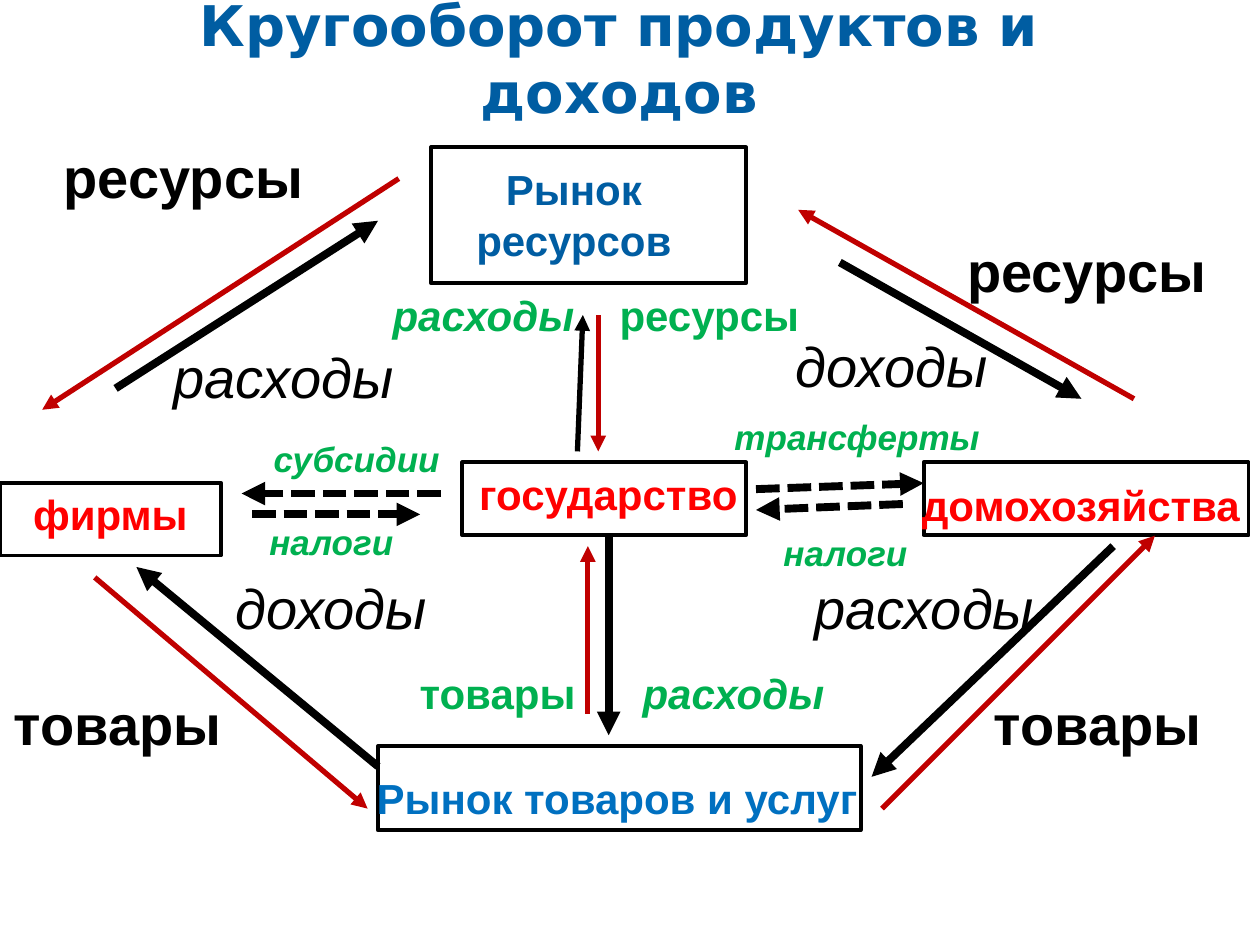
"""Build a slide with the circular flow of products and incomes."""
from lxml.etree import SubElement
from pptx import Presentation
from pptx.dml.color import RGBColor
from pptx.enum.dml import MSO_LINE_DASH_STYLE as DASH
from pptx.enum.shapes import MSO_CONNECTOR as CONNECTOR, MSO_SHAPE as SHAPE
from pptx.enum.text import MSO_ANCHOR as ANCHOR, PP_ALIGN as ALIGN
from pptx.oxml.ns import qn
from pptx.util import Cm, Pt

BLACK = RGBColor(0x00, 0x00, 0x00)
BLUE = RGBColor(0x00, 0x5D, 0xA2)
LIGHT_BLUE = RGBColor(0x00, 0x70, 0xC0)
RED = RGBColor(0xFF, 0x00, 0x00)
DARK_RED = RGBColor(0xC0, 0x00, 0x00)
GREEN = RGBColor(0x00, 0xB0, 0x50)

presentation = Presentation()
presentation.slide_width = Cm(25.4)
presentation.slide_height = Cm(19.05)
slide = presentation.slides.add_slide(presentation.slide_layouts[6])


def add_text(text, left, top, width, height, size=24, color=BLACK, bold=False,
             italic=False, font="Arial", anchor=ANCHOR.TOP):
    box = slide.shapes.add_textbox(Cm(left), Cm(top), Cm(width), Cm(height))
    frame = box.text_frame
    frame.word_wrap = True
    frame.vertical_anchor = anchor
    frame.text = text
    for paragraph in frame.paragraphs:
        paragraph.alignment = ALIGN.CENTER
        paragraph.font.name = font
        paragraph.font.size = Pt(size)
        paragraph.font.bold = bold
        paragraph.font.italic = italic
        paragraph.font.color.rgb = color


def add_arrow(start_x, start_y, end_x, end_y, color=BLACK, width=4.5, dash=None):
    arrow = slide.shapes.add_connector(
        CONNECTOR.STRAIGHT, Cm(start_x), Cm(start_y), Cm(end_x), Cm(end_y))
    arrow.line.color.rgb = color
    arrow.line.width = Pt(width)
    if dash:
        arrow.line.dash_style = dash
    SubElement(arrow.line._get_or_add_ln(), qn("a:tailEnd"), type="triangle")
    SubElement(arrow._element.spPr, qn("a:effectLst"))


add_text("Кругооборот продуктов и доходов", 0.84, 0.84, 23.29, 0.64, size=32,
         color=BLUE, bold=True, font="DejaVu Sans", anchor=ANCHOR.MIDDLE)

frames = [
    (18.62, 9.32, 6.55, 1.47),
    (7.62, 15.04, 9.73, 1.7),
    (0, 9.73, 4.45, 1.47),
    (8.69, 2.97, 6.35, 2.74),
    (9.32, 9.32, 5.72, 1.47),
]
for frame_box in frames:
    shape = slide.shapes.add_shape(SHAPE.RECTANGLE, *map(Cm, frame_box))
    shape.shadow.inherit = False
    shape.fill.background()
    shape.line.color.rgb = BLACK
    shape.line.width = Pt(2.25)

participants = [
    ("Рынок\nресурсов", 9.32, 3.18, 4.5, 2.31, BLUE),
    ("Рынок товаров и услуг", 7.24, 15.44, 10.4, 1.27, LIGHT_BLUE),
    ("домохозяйства", 18.19, 9.55, 7.2, 1.27, RED),
    ("фирмы", 0, 9.73, 4.45, 1.27, RED),
    ("государство", 9.09, 9.32, 6.35, 1.27, RED),
]
for text, left, top, width, height, color in participants:
    add_text(text, left, top, width, height, color=color, bold=True)

thick_arrows = [
    (12.27, 10.8, 12.27, 14.82),
    (16.93, 5.29, 21.8, 8.04),
    (22.44, 11.01, 17.57, 15.66),
    (7.62, 15.45, 2.75, 11.43),
    (2.33, 7.83, 7.62, 4.45),
]
for ends in thick_arrows:
    add_arrow(*ends)

red_arrows = [
    (11.85, 14.39, 11.85, 11.01),
    (12.06, 6.35, 12.06, 9.1),
    (22.86, 8.04, 16.09, 4.23),
    (17.78, 16.3, 23.28, 10.8),
    (1.91, 11.64, 7.41, 16.3),
    (8.04, 3.6, 0.85, 8.26),
]
for ends in red_arrows:
    add_arrow(*ends, color=DARK_RED, width=3)

add_arrow(11.64, 9.1, 11.75, 6.35, width=3)

dashed_arrows = [
    (15.24, 9.86, 18.62, 9.74),
    (18.2, 10.16, 15.24, 10.28),
    (8.89, 9.95, 4.87, 9.95),
    (5.08, 10.37, 8.47, 10.37),
]
for ends in dashed_arrows:
    add_arrow(*ends, dash=DASH.SQUARE_DOT)

state_flows = [
    ("налоги", 4.24, 10.36, 4.88, 20, True),
    ("субсидии", 4.88, 8.69, 4.62, 20, True),
    ("трансферты", 14.48, 8.26, 5.6, 20, True),
    ("налоги", 15.04, 10.59, 4.01, 20, True),
    ("расходы", 12.27, 13.34, 5.03, 24, True),
    ("товары", 7.93, 13.34, 4.2, 24, False),
    ("расходы", 7.19, 5.72, 5.11, 24, True),
    ("ресурсы", 12.1, 5.72, 4.4, 24, False),
]
for text, left, top, width, size, italic in state_flows:
    add_text(text, left, top, width, 1.2, size=size, color=GREEN, bold=True,
             italic=italic)

money_flows = [
    ("расходы", 3.18, 6.78, 5.08),
    ("доходы", 15.44, 6.55, 5.08),
    ("доходы", 4.45, 11.43, 4.45),
    ("расходы", 15.88, 11.43, 5.51),
]
for text, left, top, width in money_flows:
    add_text(text, left, top, width, 1.62, size=32, italic=True)

goods_flows = [
    ("товары", 19.69, 13.77, 4.88),
    ("товары", 0, 13.77, 4.75),
    ("ресурсы", 19.05, 4.65, 5.72),
    ("ресурсы", 0.84, 2.74, 5.72),
]
for text, left, top, width in goods_flows:
    add_text(text, left, top, width, 1.62, size=32, bold=True)

presentation.save("out.pptx")
